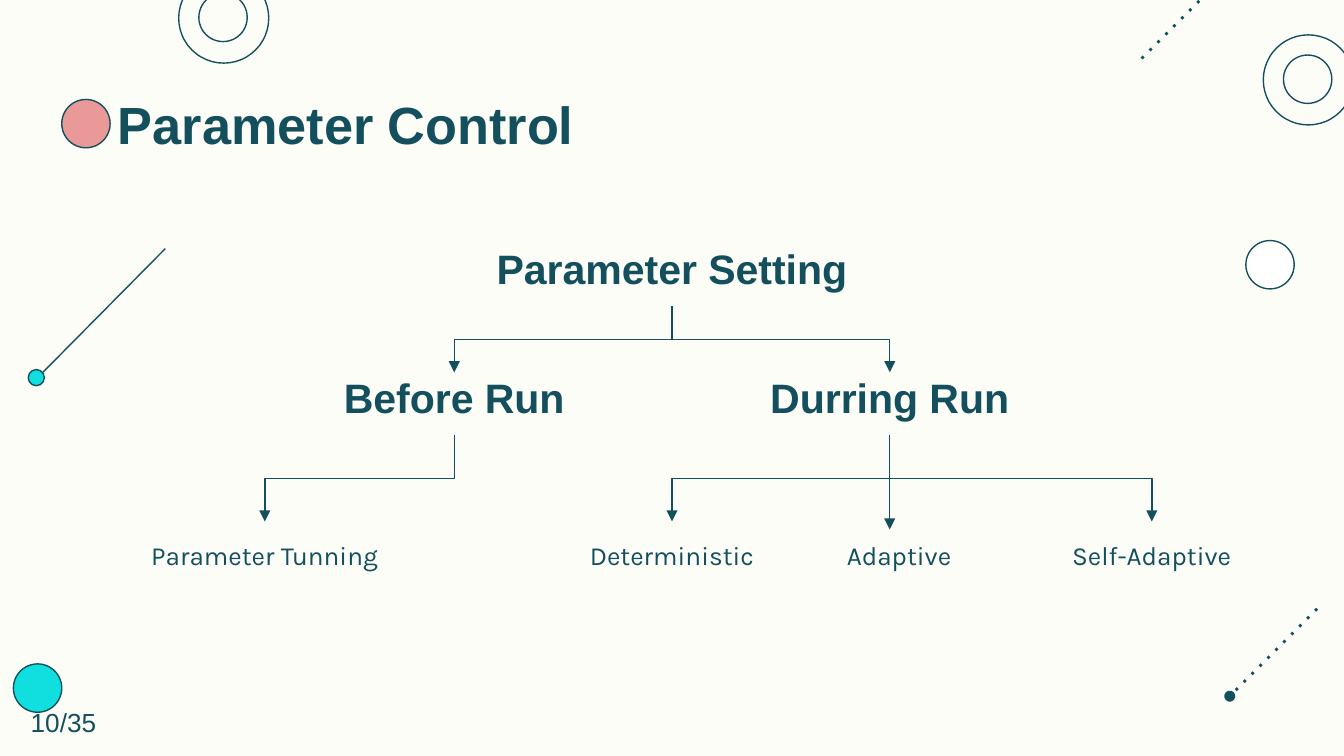
from lxml import etree
from pptx import Presentation
from pptx.dml.color import RGBColor
from pptx.enum.shapes import MSO_CONNECTOR, MSO_SHAPE
from pptx.enum.text import MSO_ANCHOR, PP_ALIGN
from pptx.oxml.ns import qn
from pptx.util import Inches, Pt

TEAL = RGBColor(0x13, 0x4F, 0x5C)
CYAN = RGBColor(0x11, 0xDF, 0xDF)
PINK = RGBColor(0xEA, 0x99, 0x99)
WHITE = RGBColor(0xFF, 0xFF, 0xFF)
IVORY = RGBColor(0xFD, 0xFD, 0xF8)
STRAIGHT, ELBOW = MSO_CONNECTOR.STRAIGHT, MSO_CONNECTOR.ELBOW
OVAL = MSO_SHAPE.OVAL
TOP, BOTTOM = MSO_ANCHOR.TOP, MSO_ANCHOR.BOTTOM
LEFT, CENTER = PP_ALIGN.LEFT, PP_ALIGN.CENTER


class TreeSlide:
    def __init__(self, page):
        self.page = page
        page.background.fill.solid()
        page.background.fill.fore_color.rgb = IVORY

    def circle(self, left, top, size, fill=None):
        shape = self.page.shapes.add_shape(
            OVAL, Inches(left), Inches(top), Inches(size), Inches(size))
        shape.shadow.inherit = False
        if fill is None:
            shape.fill.background()
        else:
            shape.fill.solid()
            shape.fill.fore_color.rgb = fill
        shape.line.color.rgb = TEAL
        shape.line.width = Pt(0.75)

    def rings(self, left, top):
        self.circle(left, top, 0.67)
        self.circle(left + 0.15, top + 0.15, 0.36)

    def line(self, start, end, kind=STRAIGHT, width=0.75, dash=None, tail=None):
        connector = self.page.shapes.add_connector(
            kind, *(Inches(value) for value in (*start, *end)))
        connector.line.color.rgb = TEAL
        connector.line.width = Pt(width)
        properties = connector._element.spPr
        outline = properties.find(qn("a:ln"))
        if dash:
            etree.SubElement(outline, qn("a:prstDash"), val=dash)
        if tail:
            etree.SubElement(outline, qn("a:tailEnd"), type=tail)
        etree.SubElement(properties, qn("a:effectLst"))
        return connector

    def branch(self, start, end):
        (x1, y1), (x2, y2) = start, end
        center_x, center_y = (x1 + x2) / 2, (y1 + y2) / 2
        across, down = abs(x2 - x1) / 2, (y2 - y1) / 2
        reach = down if x2 < x1 else -down
        connector = self.line(
            (center_x - reach, center_y - across),
            (center_x + reach, center_y + across), ELBOW, tail="triangle")
        connector.rotation = 90 if x2 < x1 else 270

    def corner(self, start, end):
        connector = self.line(start, end, ELBOW, tail="triangle")
        connector._element.spPr.find(qn("a:prstGeom")).set("prst", "bentConnector2")

    def text(self, wording, left, top, width, height, size, font="Arial",
             bold=False, align=LEFT, anchor=TOP, spacing=1.0, inset=0.1, wrap=True):
        box = self.page.shapes.add_textbox(
            Inches(left), Inches(top), Inches(width), Inches(height))
        frame = box.text_frame
        frame.word_wrap = wrap
        frame.vertical_anchor = anchor
        frame.margin_left = frame.margin_right = Inches(0.1)
        frame.margin_top = frame.margin_bottom = Inches(inset)
        para = frame.paragraphs[0]
        para.text = wording
        para.alignment = align
        para.line_spacing = spacing
        para.font.name = font
        para.font.size = Pt(size)
        para.font.bold = bold
        para.font.color.rgb = TEAL

    def heading(self, wording, center, top, width=2.38):
        self.text(wording, center - width / 2, top, width, 0.47, 22, bold=True,
                  align=CENTER, anchor=BOTTOM, spacing=1.15)

    def leaf(self, wording, center):
        self.text(wording, center - 1.19, 3.88, 2.38, 0.58, 14, font="Karla",
                  align=CENTER, spacing=1.15)


def main():
    deck = Presentation()
    deck.slide_width = Inches(10)
    deck.slide_height = Inches(10) * 9 // 16
    slide = TreeSlide(deck.slides.add_slide(deck.slide_layouts[6]))

    slide.line((9.8, 4.53), (9.15, 5.18), width=1.5, dash="dot", tail="oval")
    slide.line((9.1, -0.17), (8.46, 0.47), width=1.5, dash="dot")
    slide.line((0.32, 2.77), (1.23, 1.85))
    slide.circle(0.21, 2.75, 0.12, CYAN)
    for left, top, fill in ((0.46, 0.74, PINK), (9.27, 1.79, WHITE), (0.1, 4.94, CYAN)):
        slide.circle(left, top, 0.36, fill)
    slide.rings(1.33, -0.2)
    slide.rings(9.4, 0.26)

    slide.text("Parameter Control", 0.78, 0.59, 8.44, 0.66, 28, bold=True)

    root, before, during = 5, 3.38, 6.62
    tuning, deterministic, adaptive, self_adaptive = 1.97, 5, 6.69, 8.57
    slide.heading("Parameter Setting", root, 1.81, 3.38)
    slide.heading("Before Run", before, 2.77)
    slide.heading("Durring Run", during, 2.77)
    slide.leaf("Parameter Tunning", tuning)
    slide.leaf("Deterministic", deterministic)
    slide.leaf("Adaptive", adaptive)
    slide.leaf("Self-Adaptive", self_adaptive)

    for child in (before, during):
        slide.branch((root, 2.28), (child, 2.77))
    slide.branch((before, 3.24), (tuning, 3.88))
    slide.branch((during, 3.24), (deterministic, 3.88))
    slide.corner((during, 3.56), (self_adaptive, 3.88))
    slide.line((during, 3.56), (during, 3.94), tail="triangle")

    slide.text("10/35", 0.13, 5.21, 0.69, 0.34, 14, inset=0.05, wrap=False)
    deck.save("out.pptx")


if __name__ == "__main__":
    main()
